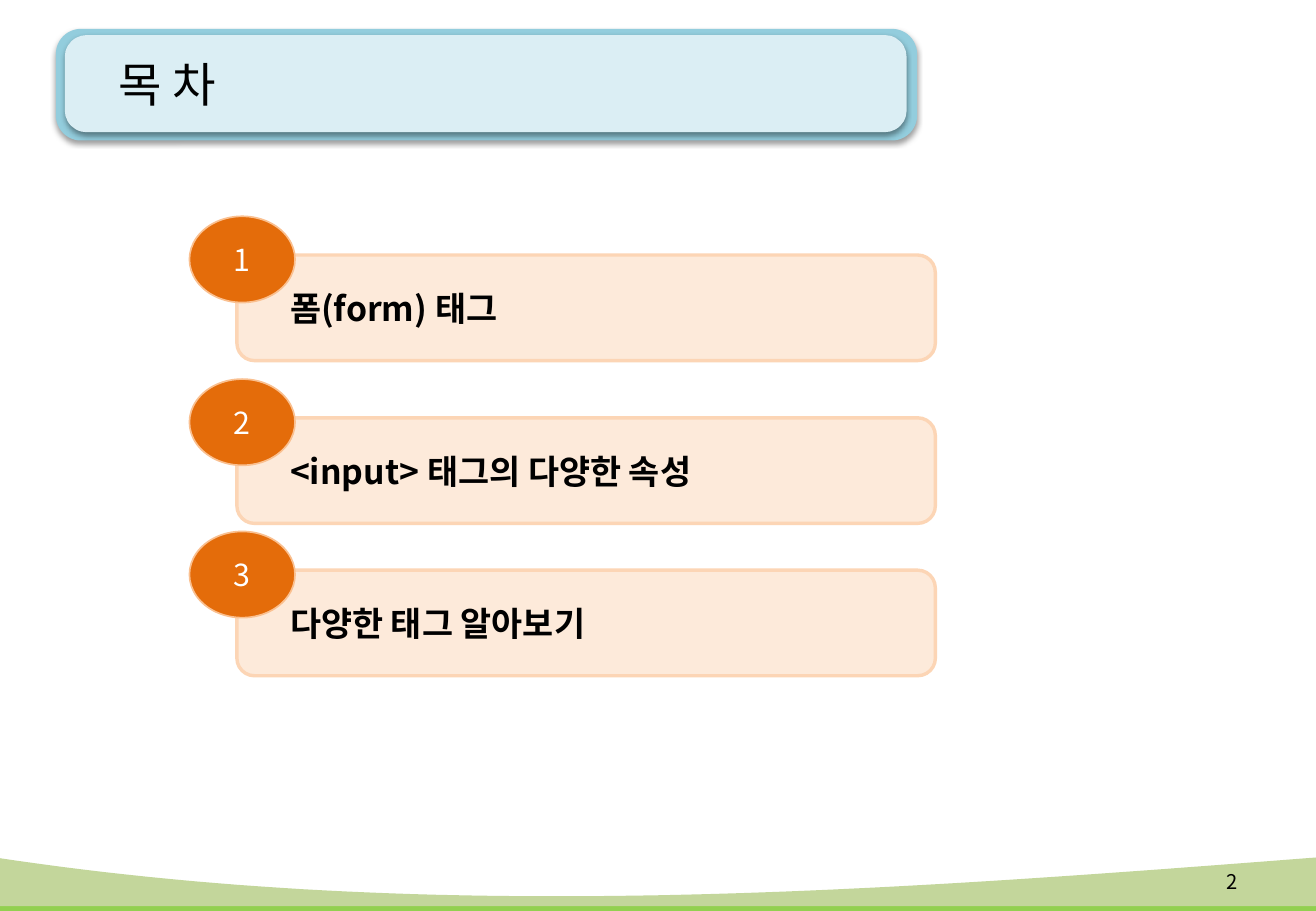
from lxml import etree
from pptx import Presentation
from pptx.dml.color import RGBColor
from pptx.enum.shapes import MSO_SHAPE as SHAPE
from pptx.enum.text import MSO_ANCHOR as ANCHOR, PP_ALIGN as ALIGN
from pptx.oxml import parse_xml
from pptx.oxml.ns import nsdecls, qn
from pptx.util import Pt

FONT = "Noto Sans CJK KR"
COLORS = {
    "black": "000000", "white": "FFFFFF",
    "band": "92D050", "hill": "C3D69B",
    "banner_edge": "93CDDD", "banner": "DBEEF4",
    "box": "FDEADA", "box_line": "FCD5B5",
    "badge": "E46C0A", "badge_line": "FAC090",
}


def paint(sp, fill, line=None, width=0):
    sp.shadow.inherit = False
    sp.fill.solid()
    sp.fill.fore_color.rgb = RGBColor.from_string(COLORS[fill])
    if line:
        sp.line.color.rgb = RGBColor.from_string(COLORS[line])
        sp.line.width = Pt(width)
    else:
        sp.line.fill.background()


def write(sp, text, size, color="black", align=ALIGN.LEFT, bold=False, indent=7.2):
    tf = sp.text_frame
    tf.text = text
    tf.word_wrap = True
    tf.vertical_anchor = ANCHOR.MIDDLE
    tf.margin_left = Pt(indent)
    p = tf.paragraphs[0]
    p.alignment = align
    font = p.runs[0].font
    font.size, font.bold, font.name = Pt(size), bold, FONT
    font.color.rgb = RGBColor.from_string(COLORS[color])
    # Korean glyphs take the East Asian typeface
    etree.SubElement(p.runs[0]._r.rPr, qn("a:ea")).set("typeface", FONT)


prs = Presentation()
prs.slide_width, prs.slide_height = Pt(780), Pt(540)
slide = prs.slides.add_slide(prs.slide_layouts[5])
shapes = slide.shapes

# Footer waves: a cubic curve along the top, straight sides below
STEPS = 60
WAVES = [
    ("band", (521.3, 547.2, 535, 521.3), 540),
    ("hill", (508.3, 547.9, 528.5, 508.3), 537.1),
]
for color, (y0, y1, y2, y3), bottom in WAVES:
    curve = []
    for i in range(STEPS + 1):
        t = i / STEPS
        y = (1 - t)**3 * y0 + 3 * (1 - t)**2 * t * y1 + 3 * (1 - t) * t**2 * y2 + t**3 * y3
        curve.append((Pt(-2.9 + 782.9 * t), Pt(y)))
    builder = shapes.build_freeform(*curve[0], scale=1.0)
    builder.add_line_segments(curve[1:] + [(Pt(780), Pt(bottom)), (Pt(-2.9), Pt(bottom))])
    paint(builder.convert_to_shape(), color)

# Title banner: two stacked rounded panels with soft shadows
PANELS = [
    ("banner_edge", 33.1, 17.1, 510.5, 66.2),
    ("banner", 38.4, 20.8, 499, 57.6),
]
for color, *box in PANELS:
    sp = shapes.add_shape(SHAPE.ROUNDED_RECTANGLE, *map(Pt, box))
    sp.adjustments[0] = 0.225
    paint(sp, color)
    sp._element.spPr.find(qn("a:effectLst")).append(parse_xml(
        f'<a:outerShdw {nsdecls("a")} blurRad="{Pt(3.1)}" dist="{Pt(1.6)}" '
        'dir="5400000" rotWithShape="0"><a:srgbClr val="000000">'
        '<a:alpha val="38000"/></a:srgbClr></a:outerShdw>'))

# Title, brought in front of the banner
title = shapes.title
title.left, title.top, title.width, title.height = map(Pt, (33.1, 15.8, 504.7, 67.7))
write(title, "목 차", 28, indent=37)
shapes._spTree.append(title._element)

# Slide number
number = shapes.add_textbox(Pt(697), Pt(508.3), Pt(43.9), Pt(28.8))
write(number, "2", 12, align=ALIGN.RIGHT)

# Contents: a box with a numbered badge over its corner
TOPICS = [
    (151.2, "폼(form) 태그"),
    (247.7, "<input> 태그의 다양한 속성"),
    (338, "다양한 태그 알아보기"),
]
for n, (top, topic) in enumerate(TOPICS, 1):
    box = shapes.add_shape(SHAPE.ROUNDED_RECTANGLE, Pt(140.4), Pt(top), Pt(414), Pt(62.6))
    paint(box, "box", "box_line", 2)
    write(box, topic, 20, bold=True, indent=28.5)

    badge = shapes.add_shape(SHAPE.OVAL, Pt(112.3), Pt(top - 23), Pt(62.6), Pt(51.1))
    paint(badge, "badge", "badge_line", 1)
    write(badge, str(n), 18, "white", ALIGN.CENTER)

prs.save("out.pptx")
